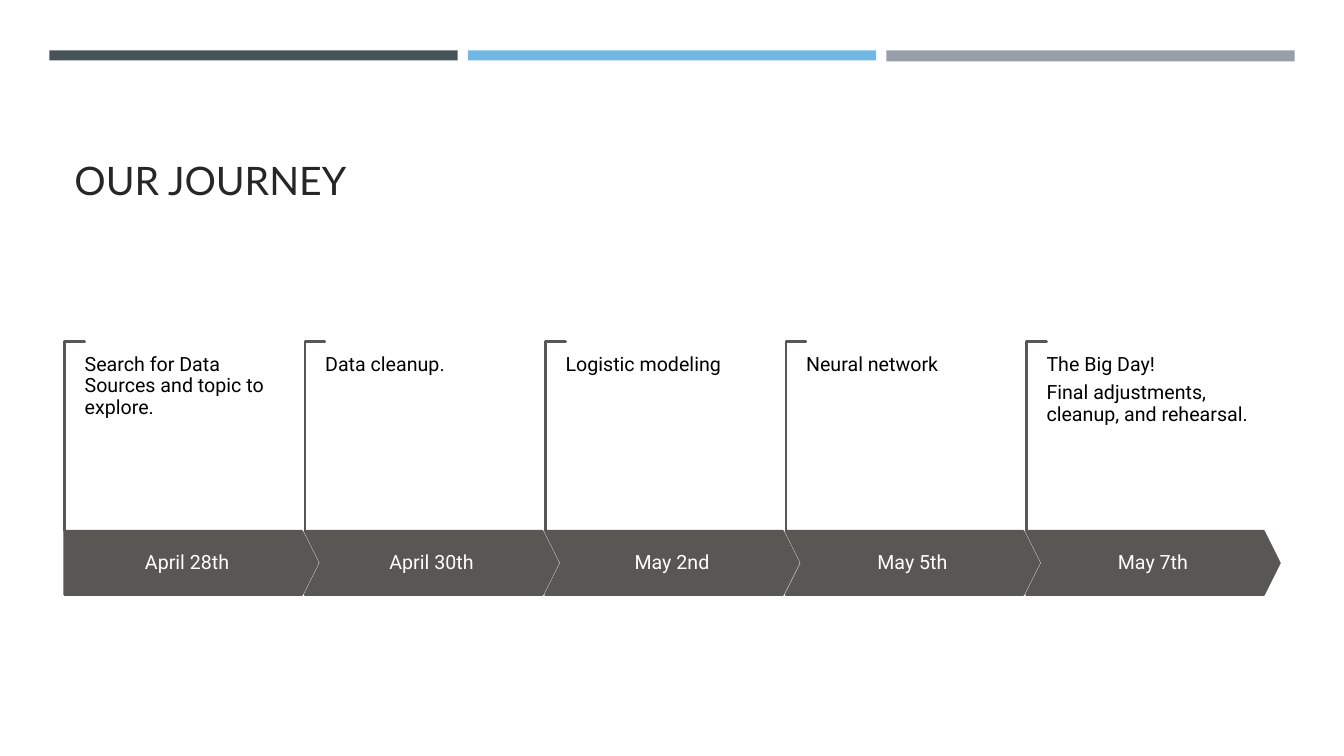
from pptx import Presentation
from pptx.dml.color import RGBColor
from pptx.enum.shapes import MSO_SHAPE
from pptx.enum.text import MSO_ANCHOR, PP_ALIGN
from pptx.util import Inches, Pt

RECT, CORNER = MSO_SHAPE.RECTANGLE, MSO_SHAPE.CORNER
PENTAGON, CHEVRON = MSO_SHAPE.PENTAGON, MSO_SHAPE.CHEVRON
TOP, MIDDLE, BOTTOM = MSO_ANCHOR.TOP, MSO_ANCHOR.MIDDLE, MSO_ANCHOR.BOTTOM
LEFT, CENTER = PP_ALIGN.LEFT, PP_ALIGN.CENTER

# Content
TITLE = "OUR JOURNEY"
BARS = [("465359", 0.1), ("71B9E4", 0.1), ("969FA7", 0.11)]  # colour, height
STEPS = [
    ("April 28th", ["Search for Data Sources and topic to explore."]),
    ("April 30th", ["Data cleanup."]),
    ("May 2nd", ["Logistic modeling"]),
    ("May 5th", ["Neural network"]),
    ("May 7th", ["The Big Day!", "Final adjustments, cleanup, and rehearsal."]),
]
GREY, SAND = "585753", "EBDDC3"

# Layout, in inches
BAR_X, BAR_Y, BAR_W, BAR_PITCH = 0.49, 0.5, 4.05, 4.15
STEP_X, STEP_PITCH = 0.64, 2.385
ARROW_Y, ARROW_W, ARROW_H = 5.27, 2.51, 0.63
HOOK_W, HOOK_H = 0.2, 1.88
NOTE_Y, NOTE_W, NOTE_H = 3.52, 2.04, 1.18

prs = Presentation()
prs.slide_width, prs.slide_height = Inches(13.33), Inches(7.5)
s = prs.slides.add_slide(prs.slide_layouts[6])


def rgb(value):
    return RGBColor.from_string(value)


def add_box(kind, x, y, w, h, fill, line=None, adjust=()):
    sp = s.shapes.add_shape(kind, Inches(x), Inches(y), Inches(w), Inches(h))
    sp.shadow.inherit = False
    sp.fill.solid()
    sp.fill.fore_color.rgb = rgb(fill)
    if line:
        sp.line.color.rgb = rgb(line)
        sp.line.width = Pt(1.75)
    else:
        sp.line.fill.background()
    for i, value in enumerate(adjust):
        sp.adjustments[i] = value
    return sp


def add_textbox(x, y, w, h):
    return s.shapes.add_textbox(Inches(x), Inches(y), Inches(w), Inches(h))


def write(sp, lines, size=14, font="Roboto", color="000000", align=LEFT,
          anchor=TOP, inset=(0, 0), spacing=0.9, after=4.9):
    tf = sp.text_frame
    tf.word_wrap = True
    tf.vertical_anchor = anchor
    tf.margin_left = tf.margin_right = Inches(inset[0])
    tf.margin_top = tf.margin_bottom = Inches(inset[1])
    for i, text in enumerate(lines):
        p = tf.add_paragraph() if i else tf.paragraphs[0]
        p.alignment, p.line_spacing, p.space_after = align, spacing, Pt(after)
        r = p.add_run()
        r.text = text
        r.font.size, r.font.name = Pt(size), font
        r.font.color.rgb = rgb(color)


# Top bars and title
for i, (color, height) in enumerate(BARS):
    add_box(RECT, BAR_X + i * BAR_PITCH, BAR_Y, BAR_W, height, color)
write(add_textbox(0.64, 0.77, 12.06, 1.3), [TITLE], size=28, font="Lato",
      color="262626", anchor=BOTTOM, inset=(0.1, 0.05), spacing=1.0, after=0)

# Timeline
for i, (date, notes) in enumerate(STEPS):
    x = STEP_X + i * STEP_PITCH

    # The hook is drawn lying down, then turned upright about its centre
    hook_x = x + (HOOK_W - HOOK_H) / 2
    hook_y = ARROW_Y - (HOOK_H + HOOK_W) / 2
    hook = add_box(CORNER, hook_x, hook_y, HOOK_H, HOOK_W, SAND, GREY, (0.01, 0.01))
    hook.rotation = 90

    arrow = add_box(CHEVRON if i else PENTAGON, x, ARROW_Y, ARROW_W, ARROW_H,
                    GREY, GREY, (0.25,))
    write(arrow, [date], color="FFFFFF", align=CENTER, anchor=MIDDLE,
          inset=(0.1, 0.19))

    write(add_textbox(x + HOOK_W, NOTE_Y, NOTE_W, NOTE_H), notes)

prs.save("out.pptx")
